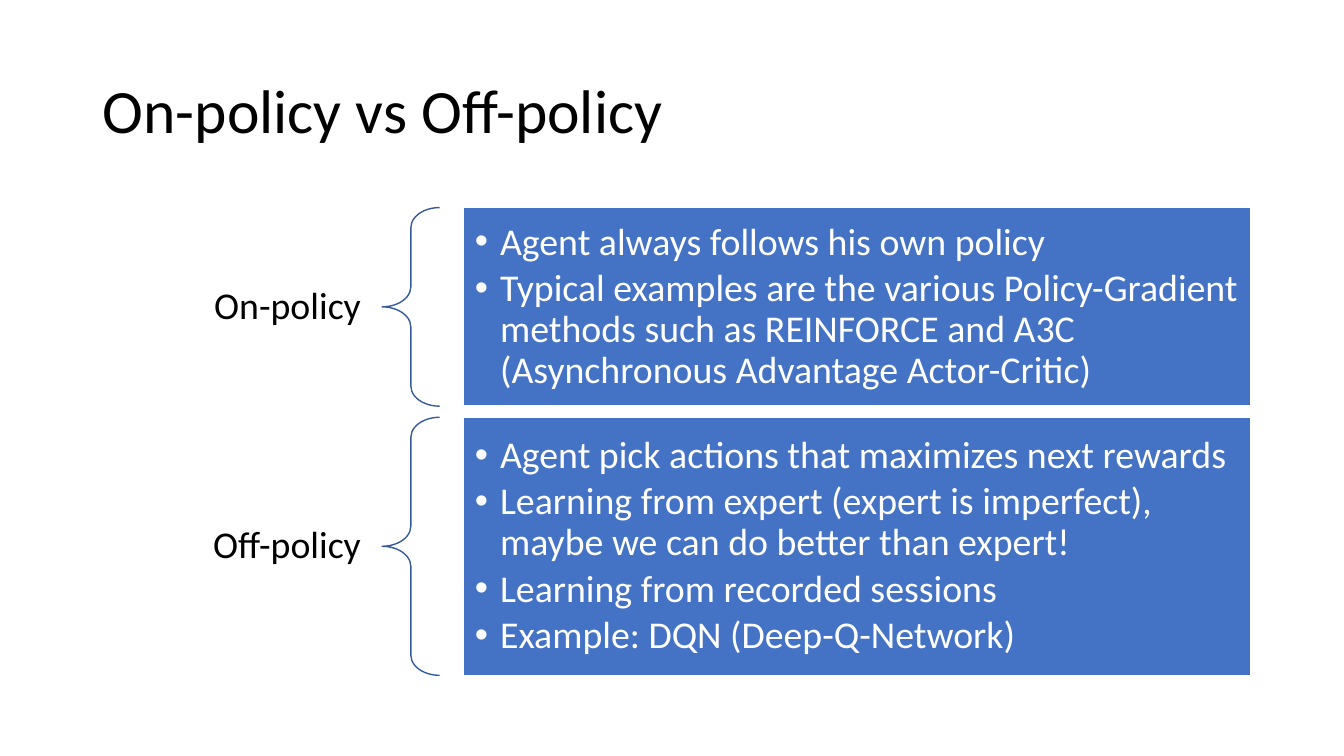
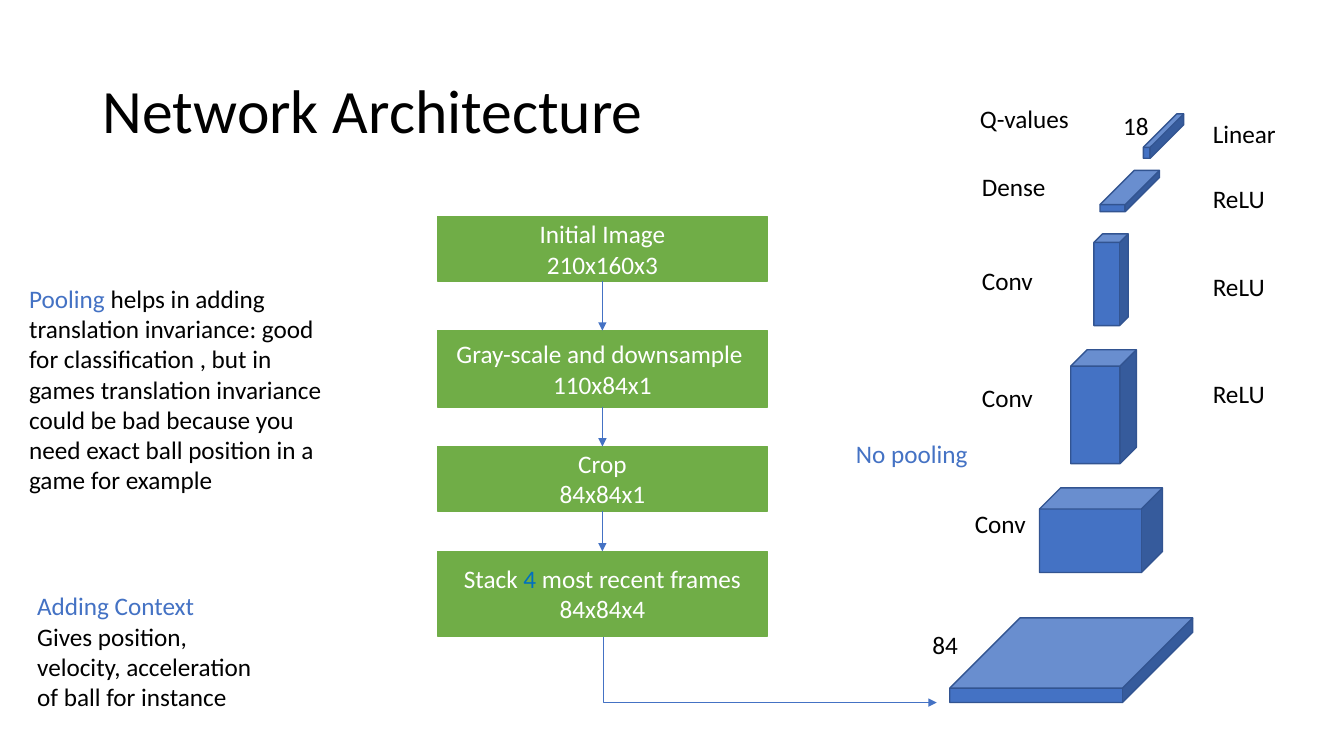
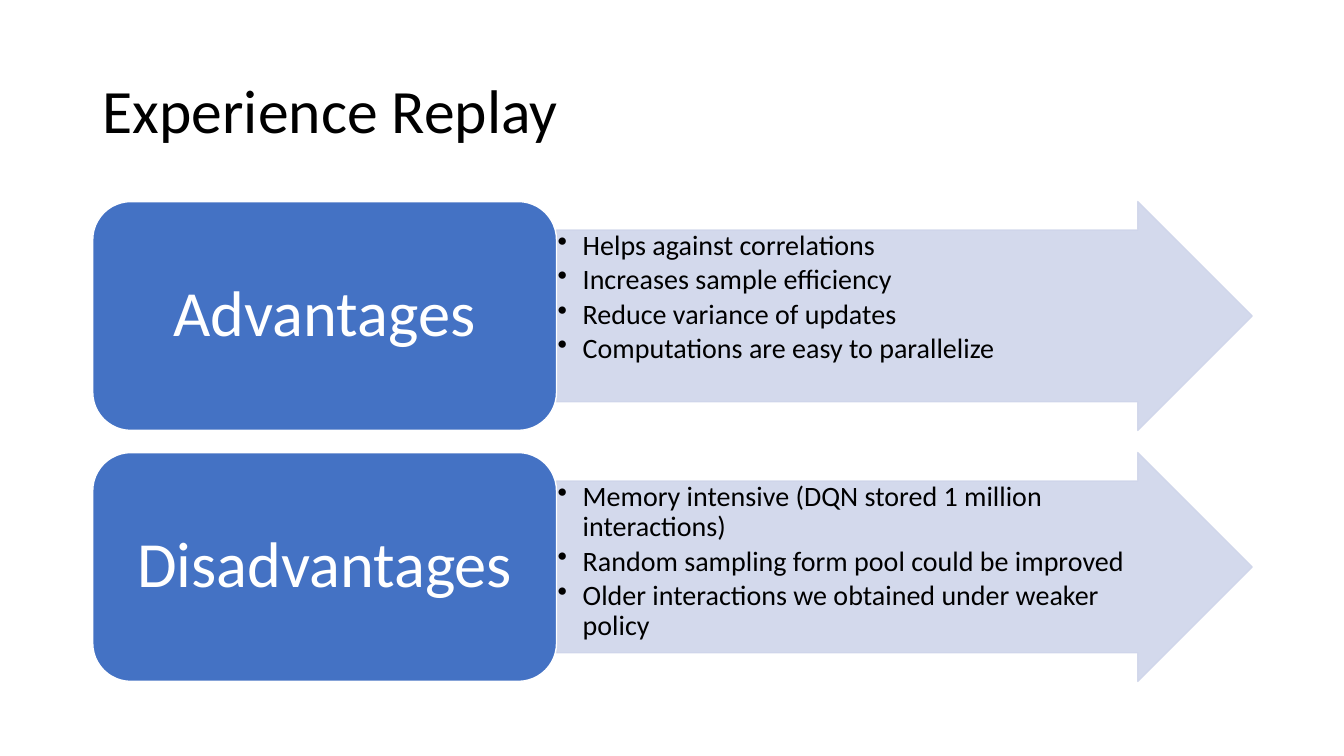
from dataclasses import dataclass
from lxml.etree import SubElement
from pptx import Presentation
from pptx.dml.color import RGBColor
from pptx.enum.shapes import MSO_CONNECTOR, MSO_SHAPE
from pptx.enum.text import MSO_ANCHOR, MSO_AUTO_SIZE, PP_ALIGN
from pptx.oxml.ns import qn
from pptx.util import Inches, Pt


@dataclass(frozen=True)
class Theme:
    font: str = "Calibri"
    black: str = "000000"
    white: str = "FFFFFF"
    blue: str = "4472C4"
    deep_blue: str = "0070C0"
    brace: str = "365B9D"
    cube_edge: str = "325491"
    green: str = "70AD47"
    pale: str = "CFD5EA"
    title: int = 44
    heading: int = 46
    large: int = 27
    list: int = 20
    body: int = 18


T = Theme()


def write(tf, paras, size=T.body, color=T.black, align=PP_ALIGN.LEFT,
          anchor=MSO_ANCHOR.TOP, inset=(0.1, 0.05), spacing=1.0, bullet=False):
    x, y = map(Inches, inset)
    frame = {"word_wrap": True, "auto_size": MSO_AUTO_SIZE.NONE, "vertical_anchor": anchor,
             "margin_left": x, "margin_right": x, "margin_top": y, "margin_bottom": y}
    for name, value in frame.items():
        setattr(tf, name, value)
    for i, para in enumerate(paras):
        p = tf.paragraphs[0] if i == 0 else tf.add_paragraph()
        if bullet:
            pPr = p._p.get_or_add_pPr()
            pPr.set("marL", str(Inches(0.25)))
            pPr.set("indent", str(-Inches(0.25)))
            SubElement(pPr, qn("a:buChar"), char="•")
        layout = {"alignment": align, "line_spacing": spacing, "space_before": Pt(0),
                  "space_after": Pt(round(size * 0.15)) if bullet else Pt(0)}
        for name, value in layout.items():
            setattr(p, name, value)
        for text, ink in [(para, color)] if isinstance(para, str) else para:
            r = p.add_run()
            r.text = text
            r.font.name, r.font.size = T.font, Pt(size)
            r.font.color.rgb = RGBColor.from_string(ink)


def paint(shape, fill, line):
    shape.shadow.inherit = False
    if fill:
        shape.fill.solid()
        shape.fill.fore_color.rgb = RGBColor.from_string(fill)
    else:
        shape.fill.background()
    shape.line.color.rgb = RGBColor.from_string(line)
    shape.line.width = Pt(1)
    return shape


prs = Presentation()
prs.slide_width, prs.slide_height = Inches(13.33), Inches(7.5)

slides = []
for layout, title, width in [(3, "On-policy vs Off-policy", 11.5),
                             (5, "Network Architecture", 8.5),
                             (5, "Experience Replay", 11.5)]:
    s = prs.slides.add_slide(prs.slide_layouts[layout])
    ph = s.shapes.title
    ph.left, ph.top, ph.width, ph.height = map(Inches, (0.92, 0.4, width, 1.45))
    write(ph.text_frame, [title], T.title, anchor=MSO_ANCHOR.MIDDLE, spacing=0.9)
    slides.append(s)
policy, network, replay = slides

policies = [
    ("On-policy", 2.06, 1.97, [
        "Agent always follows his own policy",
        "Typical examples are the various Policy-Gradient methods such as REINFORCE "
        "and A3C (Asynchronous Advantage Actor-Critic)"]),
    ("Off-policy", 4.14, 2.56, [
        "Agent pick actions that maximizes next rewards",
        "Learning from expert (expert is imperfect), maybe we can do better than expert!",
        "Learning from recorded sessions",
        "Example: DQN (Deep-Q-Network)"]),
]
for idx, (label, top, height, items) in enumerate(policies, 1):
    tb = policy.shapes.add_textbox(Inches(0.92), Inches(top + height / 2 - 0.29),
                                   Inches(2.87), Inches(0.58))
    write(tb.text_frame, [label], T.large, align=PP_ALIGN.RIGHT,
          anchor=MSO_ANCHOR.MIDDLE, inset=(0.21, 0.07), spacing=0.9)
    brace = policy.shapes.add_shape(MSO_SHAPE.LEFT_BRACE, Inches(3.79), Inches(top),
                                    Inches(0.57), Inches(height))
    brace.adjustments[0] = 0.35
    paint(brace, None, T.brace)
    ph = policy.placeholders[idx]
    ph.left, ph.top, ph.width, ph.height = map(Inches, (4.6, top, 7.81, height))
    paint(ph, T.blue, T.white)
    write(ph.text_frame, items, T.large, T.white, anchor=MSO_ANCHOR.MIDDLE,
          inset=(0.11, 0.11), spacing=0.9, bullet=True)

steps = [
    (2.15, 0.64, ["Initial Image", "210x160x3"]),
    (3.28, 0.76, ["Gray-scale and downsample ", "110x84x1"]),
    (4.43, 0.64, ["Crop", "84x84x1"]),
    (5.47, 0.84, [[("Stack ", T.white), ("4", T.deep_blue), (" most recent frames", T.white)],
                  "84x84x4"]),
]
boxes = []
for top, height, lines in steps:
    box = network.shapes.add_shape(MSO_SHAPE.RECTANGLE, Inches(4.34), Inches(top),
                                   Inches(3.27), Inches(height))
    paint(box, T.green, T.green)
    write(box.text_frame, lines, color=T.white, align=PP_ALIGN.CENTER, anchor=MSO_ANCHOR.MIDDLE)
    boxes.append(box)

arrows = []
for upper, lower in zip(boxes, boxes[1:]):
    c = network.shapes.add_connector(MSO_CONNECTOR.STRAIGHT, 0, 0, 0, 0)
    c.begin_connect(upper, 2)
    c.end_connect(lower, 0)
    arrows.append(c)

bend = network.shapes.add_connector(MSO_CONNECTOR.ELBOW, 0, 0, 0, 0)
bend.begin_connect(boxes[-1], 2)
bend.left, bend.top, bend.width, bend.height = map(Inches, (7.31, 4.99, 0.65, 3.31))
spPr = bend._element.spPr
xfrm = spPr.find(qn("a:xfrm"))
for name in ("flipH", "flipV"):
    xfrm.attrib.pop(name, None)
xfrm.set("rot", "16200000")
xfrm.set("flipH", "1")
spPr.find(qn("a:prstGeom")).set("prst", "bentConnector2")

for c in [*arrows, bend]:
    c.line.color.rgb = RGBColor.from_string(T.blue)
    c.line.width = Pt(0.5)
    SubElement(c.line._get_or_add_ln(), qn("a:tailEnd"), type="triangle")
    SubElement(c._element.spPr, qn("a:effectLst"))

for left, top, width, height, depth in [
    (9.42, 6.13, 2.41, 0.84, 0.83),
    (10.31, 4.84, 1.22, 0.84, 0.25),
    (10.62, 3.47, 0.65, 1.13, 0.25),
    (10.85, 2.32, 0.34, 0.91, 0.25),
    (10.91, 1.69, 0.59, 0.41, 0.83),
    (11.34, 1.13, 0.4, 0.44, 0.83),
]:
    cube = network.shapes.add_shape(MSO_SHAPE.CUBE, Inches(left), Inches(top),
                                    Inches(width), Inches(height))
    cube.adjustments[0] = depth
    paint(cube, T.blue, T.cube_edge)

notes = [
    (0.27, 5.81, 2.41, 1.31, [
        [("Adding Context", T.blue)],
        "Gives position, velocity, acceleration of ball for instance"]),
    (0.19, 2.76, 3.21, 2.22, [[
        ("Pooling ", T.blue),
        ("helps in adding translation invariance: good for classification , but in games "
         "translation invariance could be bad because you need exact ball position in a "
         "game for example", T.black)]]),
    (8.39, 4.3, 1.74, 0.4, [[("No pooling", T.blue)]]),
    (11.93, 1.12, 1.21, 0.4, ["Linear"]),
    *[(11.93, top, 1.21, 0.4, ["ReLU"]) for top in (1.77, 2.64, 3.7)],
    (9.62, 0.98, 1.21, 0.42, ["Q-values"]),
    (11.04, 1.05, 0.68, 0.4, ["18"]),
    (9.64, 1.65, 1.06, 0.4, ["Dense"]),
    *[(left, top, 1.06, 0.4, ["Conv"]) for left, top in ((9.64, 2.58), (9.64, 3.74), (9.57, 4.99))],
    (9.15, 6.19, 0.74, 0.4, ["84"]),
]
for left, top, width, height, paras in notes:
    tb = network.shapes.add_textbox(Inches(left), Inches(top), Inches(width), Inches(height))
    write(tb.text_frame, paras)

sides = [
    ("Advantages", ["Helps against correlations", "Increases sample efficiency",
                    "Reduce variance of updates", "Computations are easy to parallelize"]),
    ("Disadvantages", ["Memory intensive (DQN stored 1 million interactions)",
                       "Random sampling form pool could be improved",
                       "Older interactions we obtained under weaker policy"]),
]
for i, (heading, items) in enumerate(sides):
    top = Inches(2 + 2.49 * i)
    arrow = replay.shapes.add_shape(MSO_SHAPE.RIGHT_ARROW, Inches(5.52), top,
                                    Inches(6.9), Inches(2.27))
    arrow.adjustments[0] = 0.75
    paint(arrow, T.pale, T.pale)
    for clr in arrow._element.spPr.iter(qn("a:srgbClr")):
        SubElement(clr, qn("a:alpha"), val="90000")
    write(arrow.text_frame, items, T.list, inset=(0.01, 0.01), spacing=0.9, bullet=True)
    card = replay.shapes.add_shape(MSO_SHAPE.ROUNDED_RECTANGLE, Inches(0.92), top,
                                   Inches(4.6), Inches(2.27))
    paint(card, T.blue, T.white)
    write(card.text_frame, [heading], T.heading, T.white, PP_ALIGN.CENTER,
          MSO_ANCHOR.MIDDLE, (0.19, 0.1), 0.9)

prs.save("out.pptx")
